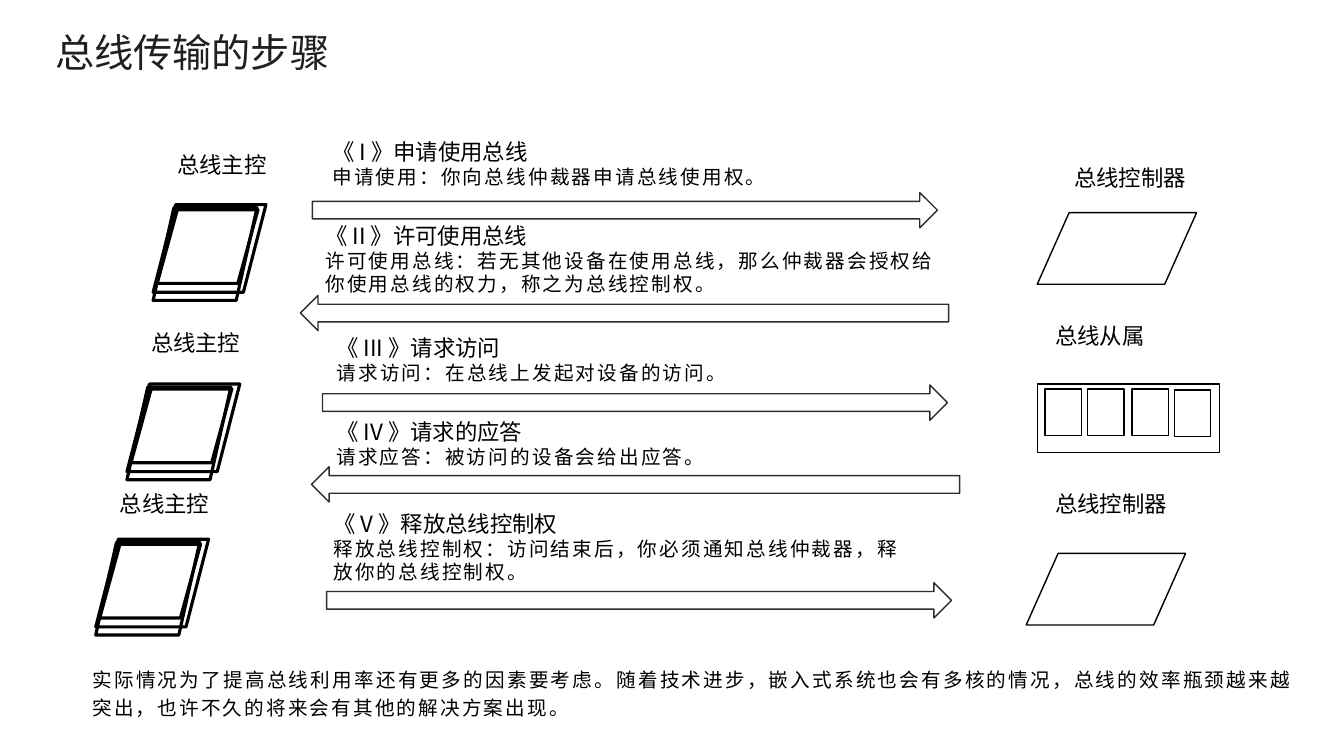
from lxml.etree import SubElement
from pptx import Presentation
from pptx.dml.color import RGBColor
from pptx.enum.shapes import MSO_SHAPE as Shape
from pptx.enum.text import MSO_ANCHOR as Anchor, MSO_AUTO_SIZE as AutoSize, PP_ALIGN as Align
from pptx.oxml.ns import qn
from pptx.util import Pt

BLACK = RGBColor(0, 0, 0)
WHITE = RGBColor(255, 255, 255)
TITLE_GREY = RGBColor(0x20, 0x20, 0x20)
ARROW_GREY = RGBColor(0x2C, 0x2E, 0x2E)
CJK, LATIN = "Noto Sans CJK SC", "Arial"

TITLE = "总线传输的步骤"
CLOSING = ("实际情况为了提高总线利用率还有更多的因素要考虑。随着技术进步，"
           "嵌入式系统也会有多核的情况，总线的效率瓶颈越来越突出，"
           "也许不久的将来会有其他的解决方案出现。")

# heading, detail, text (left, top, width, height), arrow (left, top); odd steps go right
STEPS = [
    ("《 I 》申请使用总线", "申请使用：你向总线仲裁器申请总线使用权。",
     (230.4, 95, 385.2, 43.9), (223.2, 137.5)),
    ("《 II 》许可使用总线",
     "许可使用总线：若无其他设备在使用总线，那么仲裁器会授权给你使用总线的权力，称之为总线控制权。",
     (225.4, 154.8, 455.8, 60.5), (214.6, 211)),
    ("《 III 》请求访问", "请求访问：在总线上发起对设备的访问。",
     (233.3, 235.4, 425.5, 43.9), (230.4, 275)),
    ("《 IV 》请求的应答", "请求应答：被访问的设备会给出应答。",
     (233.3, 295.2, 321.8, 43.9), (222.5, 333.4)),
    ("《 V 》释放总线控制权",
     "释放总线控制权：访问结束后，你必须通知总线仲裁器，释放你的总线控制权。",
     (231.1, 360.7, 429.8, 60.5), (233.3, 416.2)),
]
ARROW_KINDS = [(Shape.RIGHT_ARROW, 446.4), (Shape.LEFT_ARROW, 463)]
ARROW_HEIGHT = 25.2

MASTER = "总线主控"
MASTERS = [(109.4, 146.2, 104.4), (90.7, 274.3, 231.8), (68.4, 385.2, 346.3)]  # left, top, label top
SHEETS = [(0, 2.2, 74.2, 66.2), (2.9, 3.6, 72, 52.6), (0, 0, 80.6, 62.6)]  # offsets and size
TARGET_LABELS = [("总线控制器", 760.3, 113.8), ("总线从属", 746.6, 226.8), ("总线控制器", 746.6, 346.3)]
CONTROLLERS = [(740.9, 151.9), (733, 395.3)]
SLAVE_FRAME = (740.9, 274.3, 130.3, 49)
SLAVE_CELLS = [(746.6, 277.9), (776.9, 277.9), (808.6, 277.9), (838.8, 278.6)]


def add_outline(page, kind, left, top, width, height, line=BLACK, weight=1, fill=WHITE):
    shape = page.shapes.add_shape(kind, Pt(left), Pt(top), Pt(width), Pt(height))
    shape.shadow.inherit = False
    if fill is None:
        shape.fill.background()
    else:
        shape.fill.solid()
        shape.fill.fore_color.rgb = fill
    shape.line.color.rgb = line
    shape.line.width = Pt(weight)


def style(para, size, font, color=BLACK, spacing=0):
    """Format the runs of a paragraph; spacing is between letters, in points."""
    for span in para.runs:
        span.font.size = Pt(size)
        span.font.name = font
        span.font.color.rgb = color
        properties = span.font._element
        if spacing:
            properties.set("spc", str(int(spacing * 100)))
        if font == CJK:
            SubElement(properties, qn("a:ea")).set("typeface", font)


def add_text(page, lines, left, top, width, height, grow=True):
    box = page.shapes.add_textbox(Pt(left), Pt(top), Pt(width), Pt(height))
    frame = box.text_frame
    frame.word_wrap = True
    frame.auto_size = AutoSize.SHAPE_TO_FIT_TEXT if grow else AutoSize.NONE
    frame.vertical_anchor = Anchor.TOP if grow else Anchor.MIDDLE
    frame.text = "\n".join(lines)
    return frame.paragraphs


def add_label(page, text, left, top, width):
    style(add_text(page, [text], left, top, width, 26.6)[0], 16, CJK)


def main():
    deck = Presentation()
    deck.slide_width, deck.slide_height = Pt(960), Pt(540)
    page = deck.slides.add_slide(deck.slide_layouts[6])

    for left, top, label_top in MASTERS:
        for dx, dy, width, height in SHEETS:
            add_outline(page, Shape.FLOWCHART_DATA, left + dx, top + dy, width, height,
                        weight=2.25, fill=None)
        add_label(page, MASTER, left + 10.1, label_top, 94.3)

    for index, (_, _, _, (left, top)) in enumerate(STEPS):
        kind, width = ARROW_KINDS[index % 2]
        add_outline(page, kind, left, top, width, ARROW_HEIGHT, line=ARROW_GREY)
    for heading, detail, area, _ in STEPS:
        head_para, detail_para = add_text(page, [heading, detail], *area)
        style(head_para, 16, CJK)
        style(detail_para, 14, LATIN, spacing=1.5)

    add_outline(page, Shape.RECTANGLE, *SLAVE_FRAME)
    for left, top in SLAVE_CELLS:
        add_outline(page, Shape.RECTANGLE, left, top, 25.9, 33.1)
    for left, top in CONTROLLERS:
        add_outline(page, Shape.FLOWCHART_DATA, left, top, 113.8, 51.1)
    for text, left, top in TARGET_LABELS:
        add_label(page, text, left, top, 132.5)

    title_para = add_text(page, [TITLE], 32.4, 12.2, 468.7, 54, grow=False)[0]
    title_para.line_spacing = 0.9
    style(title_para, 28, CJK, TITLE_GREY)

    closing_para = add_text(page, [CLOSING], 59, 464.4, 871.2, 59, grow=False)[0]
    closing_para.alignment = Align.JUSTIFY
    closing_para.line_spacing = 1.2
    style(closing_para, 14, LATIN, spacing=1.5)

    deck.save("out.pptx")


if __name__ == "__main__":
    main()
